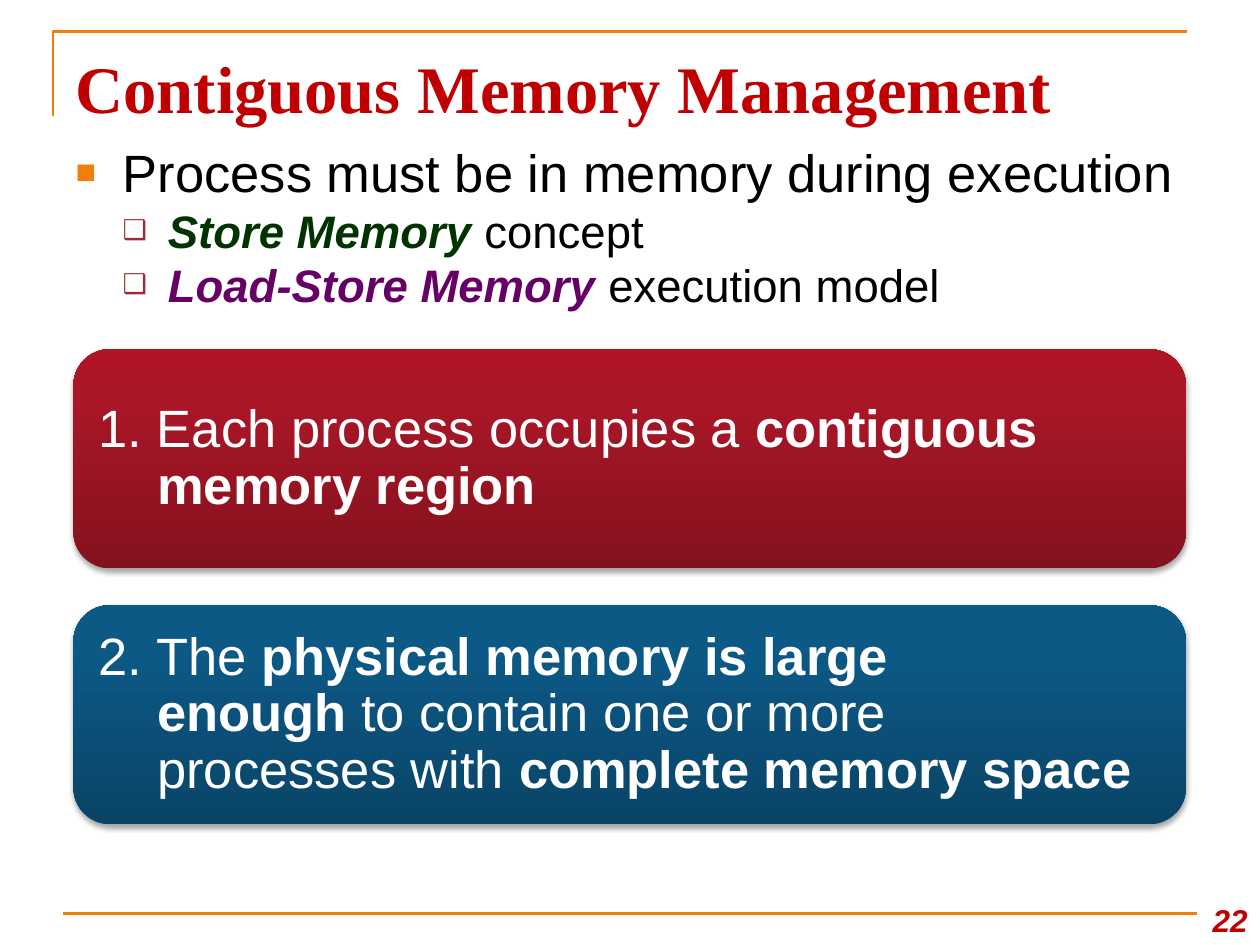
from typing import NamedTuple
from copy import deepcopy

from lxml import etree
from pptx import Presentation
from pptx.dml.color import RGBColor
from pptx.enum.shapes import MSO_CONNECTOR, MSO_SHAPE
from pptx.enum.text import MSO_ANCHOR, MSO_AUTO_SIZE, PP_ALIGN
from pptx.oxml.ns import qn
from pptx.util import Cm, Pt

ROUND_RECT = MSO_SHAPE.ROUNDED_RECTANGLE
STRAIGHT = MSO_CONNECTOR.STRAIGHT
MIDDLE, BOTTOM = MSO_ANCHOR.MIDDLE, MSO_ANCHOR.BOTTOM
LEFT, RIGHT = PP_ALIGN.LEFT, PP_ALIGN.RIGHT
NO_FIT = MSO_AUTO_SIZE.NONE

COLORS = {
    "rule": "F07F09", "heading": "C00000", "text": "000000", "white": "FFFFFF",
    "sub_bullet": "9F2936", "store": "003300", "load_store": "660066",
}
SANS, SERIF = "Arial", "Times New Roman"
PANEL_LEFT, PANEL_WIDTH, PANEL_HEIGHT = 1.48, 22.43, 4.42
PANEL_TOP, PANEL_PITCH, PANEL_PAD = 7.04, 5.16, 0.21


class Span(NamedTuple):
    text: str
    color: str = "text"
    bold: bool = False
    italic: bool = False


class Bullet(NamedTuple):
    level: int
    spans: list[Span]


class BulletStyle(NamedTuple):
    char: str
    color: str
    percent: int
    margin: float
    hanging: float
    size: int


class Panel(NamedTuple):
    stops: list[tuple[float, str]]
    lines: list[list[Span]]


BULLET_STYLES = [
    BulletStyle("■", "rule", 65, 0.95, 0.95, 30),
    BulletStyle("❑", "sub_bullet", 60, 1.86, 0.91, 26),
]
BULLETS = [
    Bullet(0, [Span("Process must be in memory during execution")]),
    Bullet(1, [Span("Store Memory ", "store", True, True), Span("concept")]),
    Bullet(1, [Span("Load-Store Memory", "load_store", True, True),
               Span(" execution model")]),
]
PANELS = [
    Panel([(0, "84111E"), (0.8, "AB1727"), (1, "AF1425")], [
        [Span("1. Each process occupies a ", "white"), Span("contiguous", "white", True)],
        [Span("memory region", "white", True)],
    ]),
    Panel([(0, "094467"), (0.8, "0C5986"), (1, "0A5A89")], [
        [Span("2. The ", "white"), Span("physical memory is large", "white", True)],
        [Span("enough ", "white", True), Span("to contain one or more", "white")],
        [Span("processes with ", "white"), Span("complete memory space", "white", True)],
    ]),
]


def rgb(name: str) -> RGBColor:
    return RGBColor.from_string(COLORS[name])


def add_span(p, span: Span, size: int, font: str = SANS) -> None:
    r = p.add_run()
    r.text = span.text
    r.font.name, r.font.size = font, Pt(size)
    r.font.bold, r.font.italic = span.bold, span.italic
    r.font.color.rgb = rgb(span.color)


def set_hanging(p, margin: float, hanging: float):
    pPr = p._p.get_or_add_pPr()
    pPr.set("marL", str(Cm(margin)))
    pPr.set("indent", str(-Cm(hanging)))
    return pPr


def set_bullet(p, style: BulletStyle) -> None:
    pPr = set_hanging(p, style.margin, style.hanging)
    color = etree.SubElement(pPr, qn("a:buClr"))
    etree.SubElement(color, qn("a:srgbClr"), val=COLORS[style.color])
    etree.SubElement(pPr, qn("a:buSzPct"), val=str(style.percent * 1000))
    etree.SubElement(pPr, qn("a:buFont"), typeface=SANS)
    etree.SubElement(pPr, qn("a:buChar"), char=style.char)


def place(s, left: float, top: float, width: float, height: float) -> None:
    s.left, s.top, s.width, s.height = Cm(left), Cm(top), Cm(width), Cm(height)


def add_frame_lines(slide) -> None:
    """Draw the corner line around the title and the line at the foot."""
    builder = slide.shapes.build_freeform(Cm(1.07), Cm(2.34))
    builder.add_line_segments([(Cm(1.07), Cm(0.64)), (Cm(23.93), Cm(0.64))], close=False)
    corner = builder.convert_to_shape()
    corner.fill.background()
    corner.shadow.inherit = False
    foot = slide.shapes.add_connector(STRAIGHT, Cm(1.27), Cm(18.42), Cm(24.13), Cm(18.42))
    etree.SubElement(foot._element.spPr, qn("a:effectLst"))
    for s in (corner, foot):
        s.line.color.rgb = rgb("rule")
        s.line.width = Pt(1.5)


def add_title(slide, text: str) -> None:
    title = slide.shapes.title
    place(title, 1.27, 0.76, 22.86, 1.98)
    tf = title.text_frame
    tf.auto_size, tf.vertical_anchor = NO_FIT, MIDDLE
    p = tf.paragraphs[0]
    p.alignment = LEFT
    add_span(p, Span(text, "heading", True), 38, SERIF)


def add_bullets(slide, bullets: list[Bullet]) -> None:
    body = slide.placeholders[1]
    place(body, 1.27, 2.74, 22.86, 3.81)
    tf = body.text_frame
    tf.auto_size, tf.margin_top = NO_FIT, Cm(0.33)
    for i, bullet in enumerate(bullets):
        p = tf.add_paragraph() if i else tf.paragraphs[0]
        style = BULLET_STYLES[bullet.level]
        set_bullet(p, style)
        p.level, p.line_spacing = bullet.level, 0.8
        p.space_before = Pt(6 if i else 0)
        for span in bullet.spans:
            add_span(p, span, style.size)


def add_soft_shadow(s) -> None:
    s.shadow.inherit = False
    effects = s._element.spPr.find(qn("a:effectLst"))
    shadow = etree.SubElement(effects, qn("a:outerShdw"), blurRad=str(Pt(3.1)),
                              dist=str(Pt(1.8)), dir="5400000", rotWithShape="0")
    color = etree.SubElement(shadow, qn("a:srgbClr"), val=COLORS["text"])
    etree.SubElement(color, qn("a:alpha"), val="35000")


def add_panel(slide, panel: Panel, top: float) -> None:
    s = slide.shapes.add_shape(ROUND_RECT, Cm(PANEL_LEFT), Cm(top),
                               Cm(PANEL_WIDTH), Cm(PANEL_HEIGHT))
    s.fill.gradient()
    s.fill.gradient_angle = 90
    stop_list = s._element.spPr.find(".//" + qn("a:gsLst"))
    stop_list.append(deepcopy(stop_list[-1]))
    for stop, (position, color) in zip(s.fill.gradient_stops, panel.stops):
        stop.position = position
        stop.color.rgb = RGBColor.from_string(color)
    s.line.fill.background()
    add_soft_shadow(s)

    box = slide.shapes.add_textbox(
        Cm(PANEL_LEFT + PANEL_PAD), Cm(top + PANEL_PAD),
        Cm(PANEL_WIDTH - 2 * PANEL_PAD), Cm(PANEL_HEIGHT - 2 * PANEL_PAD))
    tf = box.text_frame
    tf.word_wrap, tf.vertical_anchor = True, MIDDLE
    tf.margin_left = tf.margin_right = tf.margin_top = tf.margin_bottom = Cm(0.3)
    p = tf.paragraphs[0]
    set_hanging(p, 1.18, 1.18)
    p.line_spacing = 0.9
    for i, line in enumerate(panel.lines):
        if i:
            p.add_line_break()
        for span in line:
            add_span(p, span, 30)


def add_page_number(slide, number: str) -> None:
    box = slide.shapes.add_textbox(Cm(23.93), Cm(17.78), Cm(1.47), Cm(1.27))
    tf = box.text_frame
    tf.word_wrap, tf.vertical_anchor = True, BOTTOM
    p = tf.paragraphs[0]
    p.alignment = RIGHT
    add_span(p, Span(number, "heading", True, True), 18)


def main() -> None:
    prs = Presentation()
    prs.slide_width, prs.slide_height = Cm(25.4), Cm(19.05)
    slide = prs.slides.add_slide(prs.slide_layouts[1])
    add_frame_lines(slide)
    add_page_number(slide, "22")
    add_title(slide, "Contiguous Memory Management")
    add_bullets(slide, BULLETS)
    for i, panel in enumerate(PANELS):
        add_panel(slide, panel, PANEL_TOP + i * PANEL_PITCH)
    prs.save("out.pptx")


if __name__ == "__main__":
    main()
